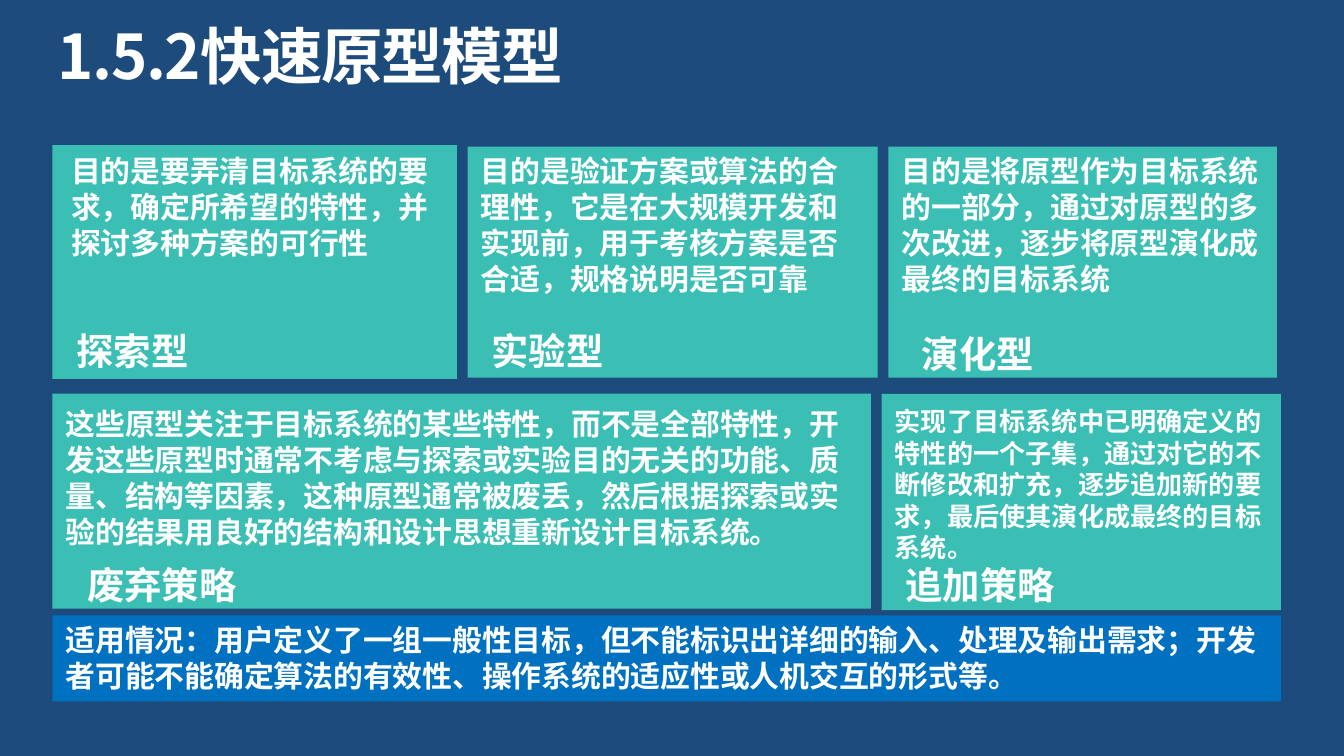
from dataclasses import dataclass

from lxml import etree
from pptx import Presentation
from pptx import util as u
from pptx.dml.color import RGBColor
from pptx.enum import shapes, text
from pptx.oxml import ns


@dataclass(frozen=True)
class Theme:
    """Colours, font and type sizes of the slide."""
    background: str = "1D4C7C"
    card: str = "3BBEB4"
    banner: str = "0070C0"
    ink: str = "FFFFFF"
    font: str = "Noto Sans CJK SC"
    title: int = 33
    label: int = 20
    body: int = 16
    small: int = 14
    leading: float = 1.2
    tight: float = 1.08


THEME = Theme()
SLIDE_WIDTH = 10
SLIDE_HEIGHT = SLIDE_WIDTH * 9 / 16

CARDS = [
    ("探索型", (0.39, 1.08, 3.01, 1.74), (0.47, 2.43, 2.36), (0.43, 1.09, 2.89, 0.91), THEME.body,
     "目的是要弄清目标系统的要求，确定所希望的特性，并探讨多种方案的可行性"),
    ("实验型", (3.48, 1.09, 3.05, 1.72), (3.56, 2.43, 1.33), (3.48, 1.09, 3.05, 1.18), THEME.body,
     "目的是验证方案或算法的合理性，它是在大规模开发和实现前，用于考核方案是否合适，规格说明是否可靠"),
    ("演化型", (6.61, 1.09, 2.89, 1.72), (6.76, 2.45, 2.6), (6.61, 1.09, 2.89, 1.18), THEME.body,
     "目的是将原型作为目标系统的一部分，通过对原型的多次改进，逐步将原型演化成最终的目标系统"),
    ("废弃策略", (0.39, 2.93, 6.09, 1.6), (0.55, 4.17, 5.26), (0.39, 2.97, 6.09, 1.18), THEME.body,
     "这些原型关注于目标系统的某些特性，而不是全部特性，开发这些原型时通常不考虑与探索或实验目的无关的功能、"
     "质量、结构等因素，这种原型通常被废丢，然后根据探索或实验的结果用良好的结构和设计思想重新设计目标系统。"),
    ("追加策略", (6.56, 2.93, 2.97, 1.61), (6.64, 4.17, 2), (6.56, 2.97, 2.97, 1.28), THEME.small,
     "实现了目标系统中已明确定义的特性的一个子集，通过对它的不断修改和扩充，逐步追加新的要求，"
     "最后使其演化成最终的目标系统。"),
]
BANNER = ("适用情况：用户定义了一组一般性目标，但不能标识出详细的输入、处理及输出需求；"
          "开发者可能不能确定算法的有效性、操作系统的适应性或人机交互的形式等。")


def inches(box):
    """Turn a tuple of numbers into lengths."""
    return [u.Inches(value) for value in box]


def write(shape, content, *, size=THEME.body, leading=THEME.leading, inset=None, tracking=None):
    """Fill a shape with one bold paragraph in the theme font."""
    frame = shape.text_frame
    frame.word_wrap = True
    frame.vertical_anchor = text.MSO_ANCHOR.TOP
    if inset is not None:
        frame.margin_left = frame.margin_top = frame.margin_right = frame.margin_bottom = u.Inches(inset)
    paragraph = frame.paragraphs[0]
    paragraph.alignment = text.PP_ALIGN.LEFT
    paragraph.line_spacing = u.Pt(size * leading)
    run = paragraph.add_run()
    run.text = content
    run.font.size = u.Pt(size)
    run.font.bold = True
    run.font.color.rgb = RGBColor.from_string(THEME.ink)
    run.font.name = THEME.font
    properties = run.font._element
    etree.SubElement(properties, ns.qn("a:ea")).set("typeface", THEME.font)
    if tracking is not None:
        properties.set("spc", str(round(tracking * 100)))


def add_text(parent, box, content, **style):
    """Add a text box to a slide or group."""
    write(parent.shapes.add_textbox(*inches(box)), content, **style)


def add_panel(parent, box, colour, kind):
    """Add a flat filled panel to a slide or group."""
    shape = parent.shapes.add_shape(kind, *inches(box))
    shape.shadow.inherit = False
    shape.fill.solid()
    shape.fill.fore_color.rgb = RGBColor.from_string(colour)
    shape.line.fill.background()
    return shape


def add_card(slide, label, box, label_box):
    """Add a grouped card panel with its label."""
    group = slide.shapes.add_group_shape()
    panel = add_panel(group, box, THEME.card, shapes.MSO_SHAPE.ROUNDED_RECTANGLE)
    panel.adjustments[0] = 0
    add_text(group, (*label_box, 0.4), label, size=THEME.label, leading=THEME.tight)


def main():
    """Build and save the slide."""
    presentation = Presentation()
    presentation.slide_width, presentation.slide_height = inches((SLIDE_WIDTH, SLIDE_HEIGHT))
    slide = presentation.slides.add_slide(presentation.slide_layouts[6])
    slide.background.fill.solid()
    slide.background.fill.fore_color.rgb = RGBColor.from_string(THEME.background)

    add_text(slide, (0.43, 0.19, 9.15, 0.5), "1.5.2快速原型模型",
             size=THEME.title, leading=THEME.tight, inset=0, tracking=-0.8)
    for label, box, label_box, *_ in CARDS:
        add_card(slide, label, box, label_box)
    for *_, body_box, size, body in CARDS:
        add_text(slide, body_box, body, size=size)
    banner = add_panel(slide, (0.39, 4.58, 9.14, 0.64), THEME.banner, shapes.MSO_SHAPE.RECTANGLE)
    write(banner, BANNER)
    presentation.save("out.pptx")


if __name__ == "__main__":
    main()
